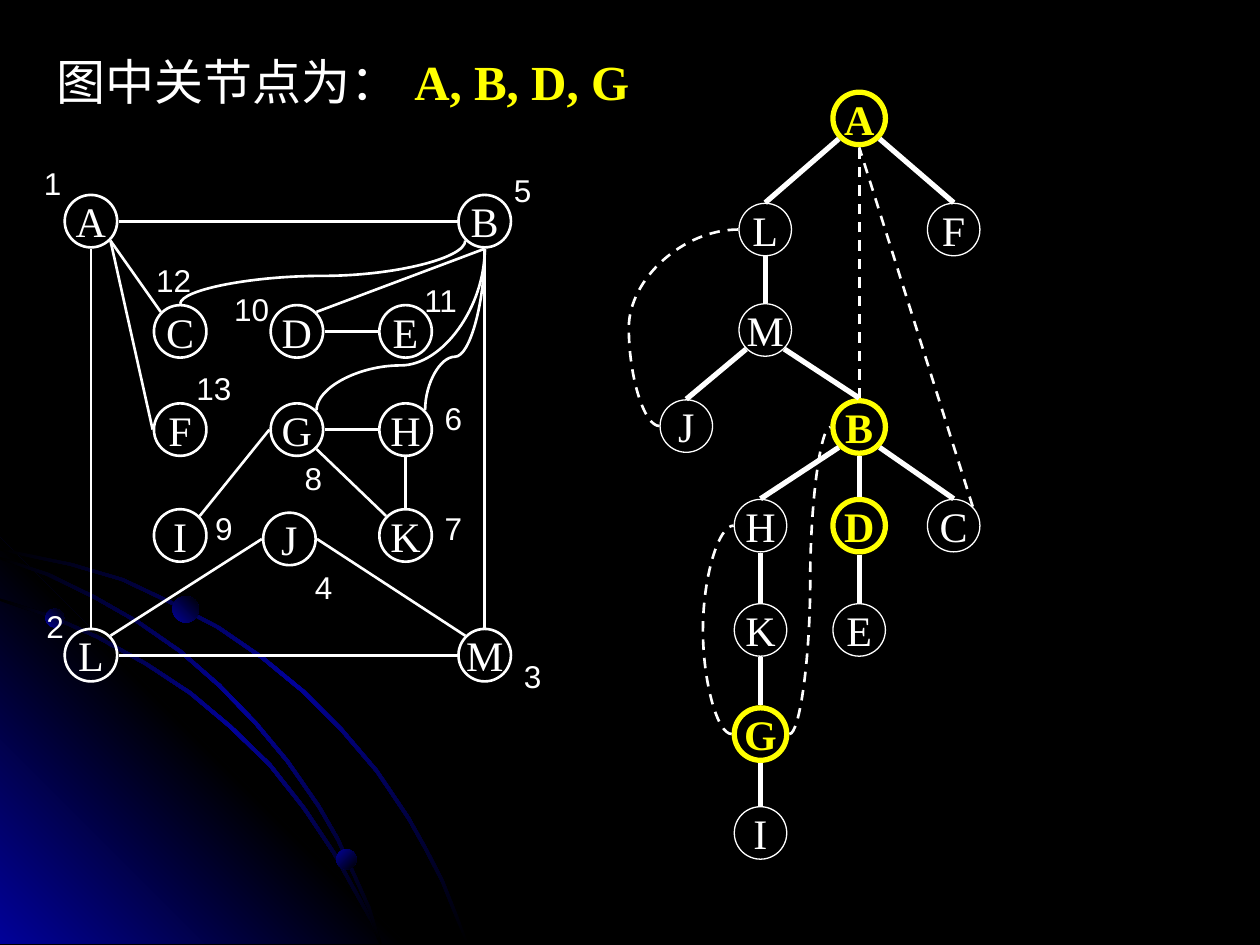
from dataclasses import dataclass
from math import cos, hypot, radians, sin

from lxml import etree
from pptx import Presentation
from pptx import util as u
from pptx.dml.color import RGBColor
from pptx.enum import dml, shapes, text
from pptx.oxml.ns import qn

COLORS = {"white": "FFFFFF", "yellow": "FFFF00", "black": "000000", "blue": "010199"}
RADIUS = 15
ARC_THICKNESS = 1.4
COMPASS = {name: 45 * step for step, name in
           enumerate(["E", "SE", "S", "SW", "W", "NW", "N", "NE"])}
TITLE_FORMAT = {"size": u.Pt(28), "name": "Times New Roman", "bold": False}
ANSWER_FORMAT = TITLE_FORMAT | {"bold": True}
NODE_FORMAT = {"size": u.Pt(24), "name": "Times New Roman"}
LABEL_FORMAT = {"size": u.Pt(18), "name": "Arial"}
FRAME_FORMAT = {"word_wrap": False, "auto_size": text.MSO_AUTO_SIZE.SHAPE_TO_FIT_TEXT,
                "vertical_anchor": text.MSO_ANCHOR.TOP}
NODE_FRAME_FORMAT = {"word_wrap": False, "vertical_anchor": text.MSO_ANCHOR.MIDDLE}


@dataclass
class Node:
    name: str
    x: float
    y: float
    line_width: float = 1.5
    color: str = "white"

    def anchor(self, direction: str) -> tuple[float, float]:
        angle = radians(COMPASS[direction])
        reach = RADIUS + self.line_width / 2
        return self.x + reach * cos(angle), self.y + reach * sin(angle)


@dataclass
class Edge:
    start: str
    end: str
    width: float = 1.5
    dashed: bool = False
    bend: float | None = None
    vertical: bool = False


@dataclass
class Dot:
    left: float
    top: float
    size: float
    angle: int


def plain(name: str, x: float, y: float) -> Node:
    return Node(name, x, y, 0.75)


def cut(name: str, x: float, y: float) -> Node:
    return Node(name, x, y, 3, "yellow")


GRAPH_NODES = [
    Node("A", 52, 126.4), Node("B", 277, 126.4), Node("L", 52, 374.4), Node("M", 277, 374.4),
    Node("C", 103, 189.4), Node("F", 103, 245.5), Node("I", 103, 306),
    Node("D", 169.7, 189.4), Node("E", 231.8, 189.4), Node("G", 169.7, 245.5),
    Node("H", 231.8, 245.5), Node("J", 165.4, 308), Node("K", 231.8, 306),
]
GRAPH_EDGES = [Edge(*ends.split("-")) for ends in (
    "A.E-B.W A.S-L.N L.E-M.W M.N-B.S L.NE-J.W J.E-M.NW I.NE-G.W A.SE-C.NW A.SE-F.W "
    "D.E-E.W G.E-H.W H.S-K.N G.SE-K.NW B.S-D.NE").split()] + [
    Edge("B.SW", "C.N", bend=157.7, vertical=True),
    Edge("B.S", "H.NE", bend=203.8, vertical=True),
    Edge("B.S", "G.NE", bend=208.8, vertical=True),
]
TREE_NODES = [
    cut("A", 491, 67.7), cut("B", 491, 244), plain("L", 437.3, 131.2), plain("M", 437.3, 188.6),
    plain("F", 545, 131.2), plain("J", 392.2, 243.5), cut("D", 491, 300.4),
    plain("C", 545, 300.4), plain("H", 434.6, 300.4), plain("K", 434.6, 360),
    cut("G", 434.6, 419.5), plain("I", 434.6, 476), plain("E", 491, 360),
]
TREE_EDGES = [Edge(*ends.split("-"), width=3) for ends in (
    "J.N-M.SW L.S-M.N M.SE-B.N L.N-A.SW A.SE-F.N B.SW-H.N B.S-D.N B.SE-C.N "
    "D.S-E.N H.S-K.N G.S-I.N K.S-G.N").split()] + [
    Edge("J.W", "L.W", dashed=True, bend=359.3),
    Edge("G.W", "H.W", dashed=True, bend=401.8),
    Edge("G.E", "B.W", dashed=True, bend=463),
    Edge("B.N", "A.S", dashed=True),
    Edge("C.NE", "A.S", dashed=True),
]
VISIT_LABELS = [
    (18, 90), (19.4, 343.4), (292.3, 372.2), (172.8, 321.1), (286.6, 94.3), (247, 224.6),
    (247, 287.3), (167, 258.5), (115.9, 287.3), (126.7, 162), (235.4, 157), (82.1, 145.4),
    (105.1, 207.4),
]
ARCS = [
    [(0, 313.2), (20.2, 317.5), (41, 321.8), (70.6, 330.5), (97.9, 343.4), (125.3, 357.8),
     (150.5, 375.1), (174.2, 394.6), (195.8, 416.2), (216, 439.9), (234, 466.6),
     (244.1, 484.6), (253.4, 502.6), (260.6, 520.6), (267.8, 539.3)],
    [(0, 342), (29.5, 351.4), (56.9, 363.6), (84.2, 378.7), (109.4, 395.3), (132.5, 414.7),
     (154.8, 436.3), (174.2, 460.8), (191.5, 486.7), (205.9, 512.6), (213.1, 525.6),
     (218.2, 539.3)],
    [(0, 318.2), (28.1, 327.6), (54.7, 340.6), (79.9, 355), (103.7, 371.5), (126, 391),
     (146.9, 412.6), (164.9, 434.2), (182.9, 460.1), (193.7, 478.8), (203, 499),
     (211.7, 518.4), (218.2, 539.3)],
]
DOTS = [Dot(25.9, 347.8, 10.8, 315), Dot(192.2, 485.3, 11.5, 45), Dot(98.6, 340.6, 15.1, 315)]


def rgb(color: str) -> RGBColor:
    return RGBColor.from_string(COLORS[color])


def set_attributes(target, values: dict) -> None:
    for name, value in values.items():
        setattr(target, name, value)


def write_text(shape, content: str, font: dict, color: str, frame: dict,
               alignment=text.PP_ALIGN.LEFT) -> None:
    set_attributes(shape.text_frame, frame)
    paragraph = shape.text_frame.paragraphs[0]
    paragraph.alignment = alignment
    run = paragraph.add_run()
    run.text = content
    set_attributes(run.font, font)
    run.font.color.rgb = rgb(color)


def fill_gradient(shape, colors: list[str], angle: int) -> None:
    shape.shadow.inherit = False
    shape.line.fill.background()
    shape.fill.background()
    gradient = etree.Element(qn("a:gradFill"), rotWithShape="1")
    stops = etree.SubElement(gradient, qn("a:gsLst"))
    for index, color in enumerate(colors):
        position = str(100000 * index // (len(colors) - 1))
        stop = etree.SubElement(stops, qn("a:gs"), pos=position)
        etree.SubElement(stop, qn("a:srgbClr"), val=COLORS[color])
    etree.SubElement(gradient, qn("a:lin"), ang=str(angle * 60000), scaled="0")
    properties = shape._element.spPr
    properties.replace(properties.find(qn("a:noFill")), gradient)


def draw_outline(slide, points: list[tuple[float, float]], colors: list[str], angle: int) -> None:
    corners = [(u.Pt(x), u.Pt(y)) for x, y in points]
    builder = slide.shapes.build_freeform(*corners[0])
    builder.add_line_segments(corners[1:], close=True)
    fill_gradient(builder.convert_to_shape(), colors, angle)


def draw_arc(slide, upper: list[tuple[float, float]]) -> None:
    lower = [(max(x - ARC_THICKNESS, 0), min(y + ARC_THICKNESS, 539.3)) for x, y in upper]
    draw_outline(slide, upper + lower[::-1], ["black", "blue", "black"], 45)


def draw_dot(slide, dot: Dot) -> None:
    shape = slide.shapes.add_shape(shapes.MSO_SHAPE.OVAL, u.Pt(dot.left), u.Pt(dot.top),
                                   u.Pt(dot.size), u.Pt(dot.size))
    fill_gradient(shape, ["blue", "black"], dot.angle)


def draw_node(slide, node: Node) -> None:
    shape = slide.shapes.add_shape(shapes.MSO_SHAPE.OVAL, u.Pt(node.x - RADIUS),
                                   u.Pt(node.y - RADIUS), u.Pt(2 * RADIUS), u.Pt(2 * RADIUS))
    shape.shadow.inherit = False
    shape.fill.background()
    shape.line.color.rgb = rgb(node.color)
    shape.line.width = u.Pt(node.line_width)
    font = NODE_FORMAT | {"bold": node.color == "yellow"}
    write_text(shape, node.name, font, node.color, NODE_FRAME_FORMAT, text.PP_ALIGN.CENTER)


def draw_edge(slide, edge: Edge, nodes: dict[str, Node]) -> None:
    ends = [nodes[name].anchor(side) for name, side in
            (end.split(".") for end in (edge.start, edge.end))]
    (x1, y1), (x2, y2) = ends
    kind = shapes.MSO_CONNECTOR.STRAIGHT if edge.bend is None else shapes.MSO_CONNECTOR.CURVE
    corners = (x1, y1, x2, y2)
    if edge.vertical:
        x, y = (x1 + x2) / 2, (y1 + y2) / 2
        across, down = abs(y2 - y1) / 2, abs(x2 - x1) / 2
        corners = (x - across, y - down, x + across, y + down)
    connector = slide.shapes.add_connector(kind, *map(u.Pt, corners))
    connector.line.color.rgb = rgb("white")
    connector.line.width = u.Pt(edge.width)
    if edge.dashed:
        connector.line.dash_style = dml.MSO_LINE.DASH
    properties = connector._element.spPr
    etree.SubElement(properties, qn("a:effectLst"))
    if edge.vertical:
        properties.find(qn("a:xfrm")).set("rot", str(90 * 60000))
    if edge.bend is not None:
        first, last = (y1, y2) if edge.vertical else (x1, x2)
        ratio = round(100000 * (edge.bend - first) / (last - first))
        guides = properties.find(qn("a:prstGeom")).get_or_add_avLst()
        etree.SubElement(guides, qn("a:gd"), name="adj1", fmla=f"val {ratio}")


def draw_text(slide, content: str, box: tuple, font: dict, color: str) -> None:
    shape = slide.shapes.add_textbox(*map(u.Pt, box))
    write_text(shape, content, font, color, FRAME_FORMAT)


def main() -> None:
    presentation = Presentation()
    set_attributes(presentation, {"slide_width": u.Pt(720), "slide_height": u.Pt(540)})
    slide = presentation.slides.add_slide(presentation.slide_layouts[5])
    slide.background.fill.solid()
    slide.background.fill.fore_color.rgb = rgb("black")

    draw_outline(slide, [(0, 307.4), (231.8, 539.3), (0, 539.3)], ["blue", "black", "blue"], 315)
    for arc in ARCS:
        draw_arc(slide, arc)
    for dot in DOTS:
        draw_dot(slide, dot)

    title = slide.shapes.title
    set_attributes(title, {"left": u.Pt(25.2), "top": u.Pt(26), "width": u.Pt(210),
                           "height": u.Pt(41)})
    write_text(title, "图中关节点为：", TITLE_FORMAT, "white", FRAME_FORMAT)
    draw_text(slide, "A, B, D, G", (229.7, 26, 139, 41), ANSWER_FORMAT, "yellow")

    for nodes, edges in ((GRAPH_NODES, GRAPH_EDGES), (TREE_NODES, TREE_EDGES)):
        for node in nodes:
            draw_node(slide, node)
        for edge in edges:
            draw_edge(slide, edge, {node.name: node for node in nodes})
    for number, (left, top) in enumerate(VISIT_LABELS, 1):
        width = 24.5 if number < 10 else 34.5
        draw_text(slide, str(number), (left, top, width, 28.8), LABEL_FORMAT, "white")

    presentation.save("out.pptx")


if __name__ == "__main__":
    main()
